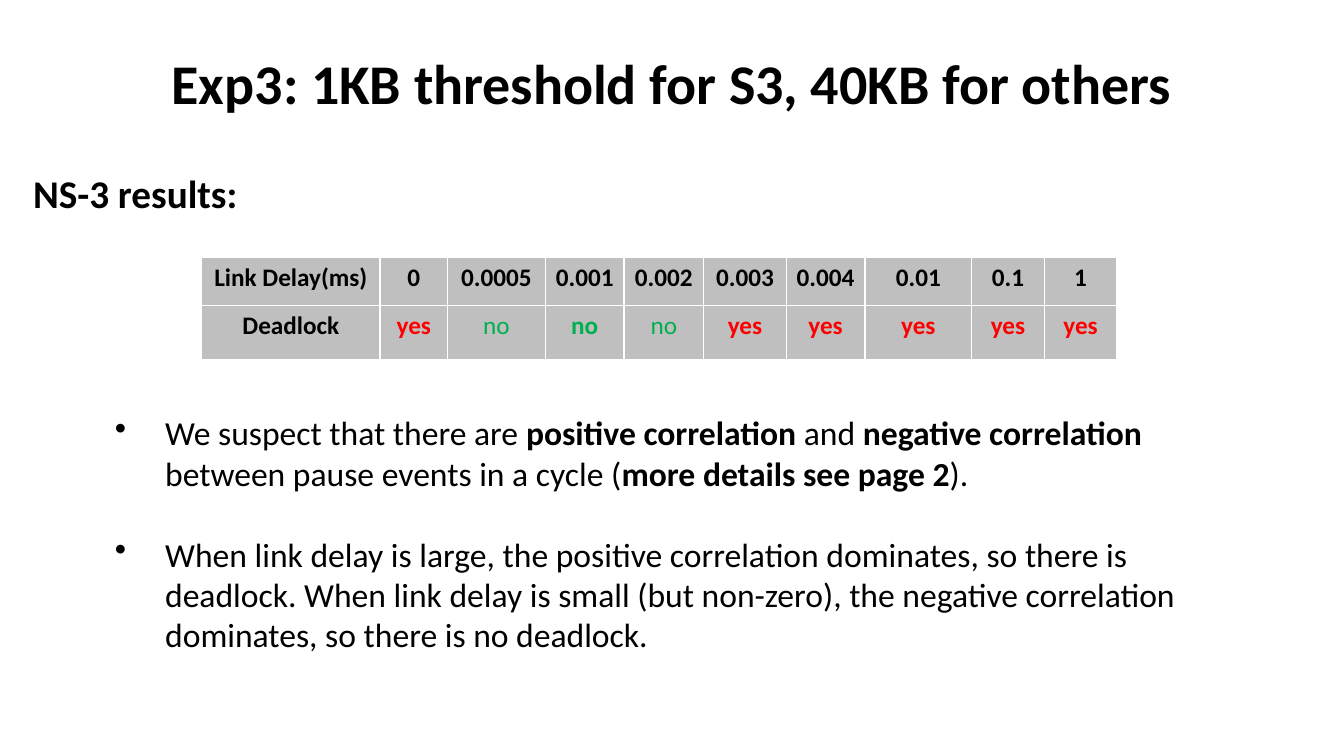
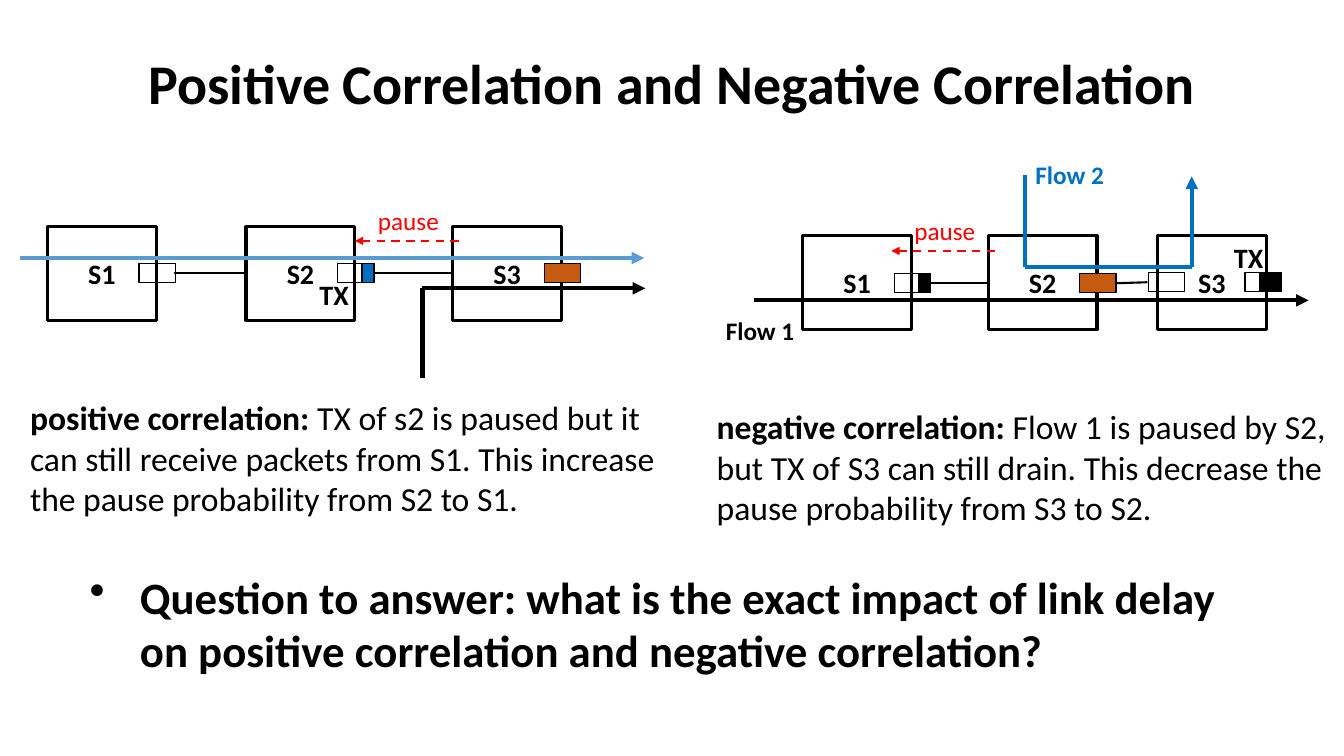
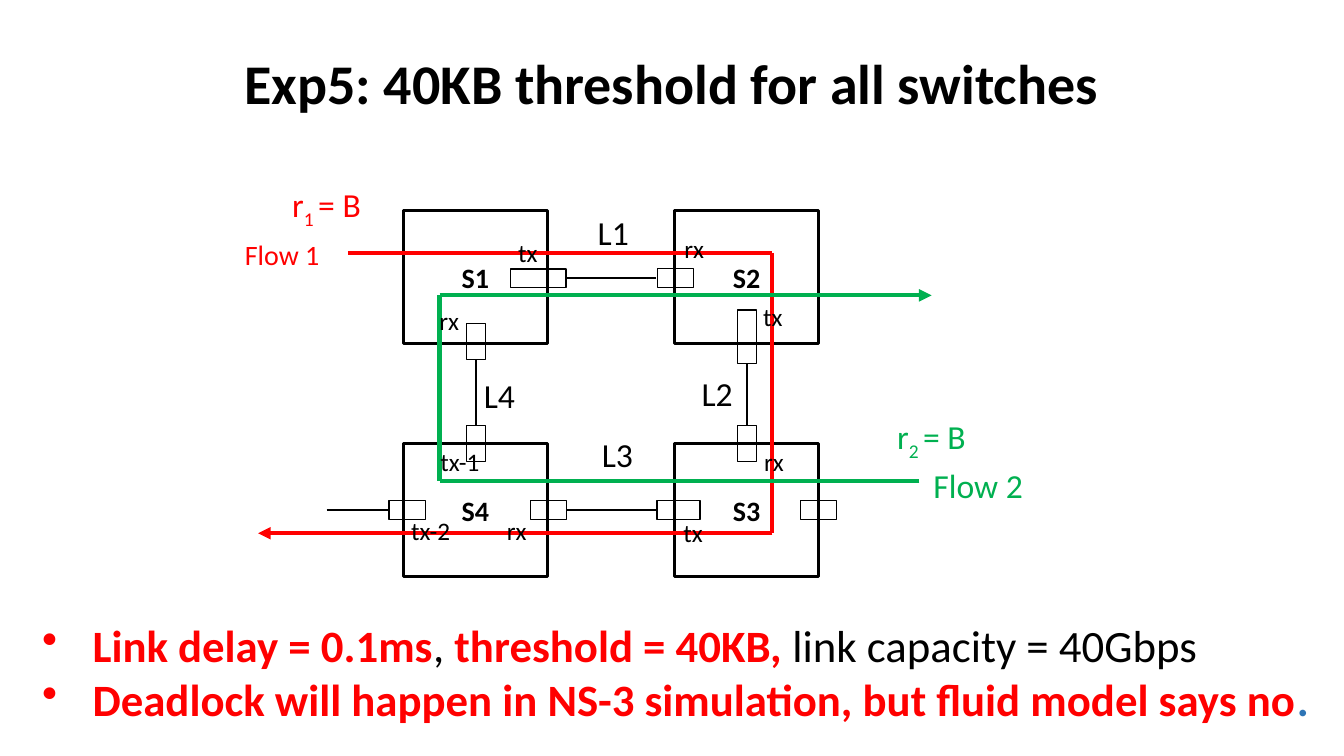
import pptx
import pptx.util
import pptx.dml.color
import pptx.enum.dml
import pptx.enum.shapes
import pptx.enum.text
import lxml.etree
import pptx.oxml.ns

Inches, Pt = pptx.util.Inches, pptx.util.Pt
rgb = pptx.dml.color.RGBColor.from_string
qn = pptx.oxml.ns.qn
CENTER = pptx.enum.text.PP_ALIGN.CENTER
RECT = pptx.enum.shapes.MSO_SHAPE.RECTANGLE
STRAIGHT = pptx.enum.shapes.MSO_CONNECTOR.STRAIGHT
DASH = pptx.enum.dml.MSO_LINE.DASH

FONT = "Calibri"
BLACK, RED, GREEN, BLUE = "000000", "FF0000", "00B050", "0070C0"
SKY, ORANGE, GREY, DOT = "5B9BD5", "C55A11", "BFBFBF", "2E75B6"


def write(frame, paras, size, colour=BLACK, bold=False, align=None, bullet=False, gap=0):
    """Fill a frame; a run is a string or (string, changes to the paragraph font)."""
    for i, runs in enumerate(paras):
        para = frame.paragraphs[0] if i == 0 else frame.add_paragraph()
        if bullet:
            props = para._p.get_or_add_pPr()
            props.set("marL", str(Inches(0.5)))
            props.set("indent", str(Inches(-0.5)))
            lxml.etree.SubElement(props, qn("a:buChar")).set("char", "•")
        if gap and i:
            para.space_before = Pt(gap)
        if align is not None:
            para.alignment = align
        font = para.font
        font.name, font.size, font.bold = FONT, Pt(size), bold
        font.color.rgb = rgb(colour)
        for part in [runs] if isinstance(runs, str) else runs:
            words, look = (part, {}) if isinstance(part, str) else part
            run = para.add_run()
            run.text = words
            if "bold" in look:
                run.font.bold = look["bold"]
            if "colour" in look:
                run.font.color.rgb = rgb(look["colour"])
            if "base" in look:
                run._r.get_or_add_rPr().set("baseline", str(look["base"] * 1000))


def label(slide, x, y, width, paras, size, rows=1, wrap=False, **look):
    """Add a text box whose height follows from its rows of text."""
    height = 0.1 + rows * size * 1.22 / 72
    box = slide.shapes.add_textbox(Inches(x), Inches(y), Inches(width), Inches(height))
    box.text_frame.word_wrap = wrap
    write(box.text_frame, paras, size, **look)


deck = pptx.Presentation()
deck.slide_width, deck.slide_height = Inches(13.33), Inches(7.5)

titles = [
    "Exp3: 1KB threshold for S3, 40KB for others",
    "Positive Correlation and Negative Correlation",
    "Exp5: 40KB threshold for all switches",
]
slides = []
for title in titles:
    slide = deck.slides.add_slide(deck.slide_layouts[6])
    label(slide, 0.35, 0.43, 12.62, [title], 40, wrap=True, bold=True, align=CENTER)
    slides.append(slide)
delay, pair, ring = slides
heavy, plain = {"bold": True}, {"bold": False}

# Link delay results
label(delay, 0.23, 1.63, 2.35, ["NS-3 results:"], 28, bold=True)
widths = [1.77, 0.67, 0.97, 0.78, 0.79, 0.82, 0.78, 1.06, 0.72, 0.72]
heights = [0.48, 0.54]
rows = [
    ["Link Delay(ms)", "0", "0.0005", "0.001", "0.002", "0.003", "0.004", "0.01", "0.1", "1"],
    ["Deadlock", "yes", "no", "no", "no", "yes", "yes", "yes", "yes", "yes"],
]
light = [(1, 2), (1, 4)]
table = delay.shapes.add_table(len(rows), len(widths), Inches(2), Inches(2.55),
                               Inches(sum(widths)), Inches(sum(heights))).table
table.horz_banding = False
for c, width in enumerate(widths):
    table.columns[c].width = Inches(width)
for r, row in enumerate(rows):
    table.rows[r].height = Inches(heights[r])
    for c, value in enumerate(row):
        cell = table.cell(r, c)
        cell.fill.solid()
        cell.fill.fore_color.rgb = rgb(GREY)
        colour = {"yes": RED, "no": GREEN}.get(value, BLACK)
        write(cell.text_frame, [value], 18, colour, (r, c) not in light, CENTER)
label(delay, 1.04, 4.04, 11, [
    ["We suspect that there are ", ("positive correlation", heavy), " and ",
     ("negative correlation ", heavy), "between pause events in a cycle (",
     ("more details see page 2", heavy), ")."],
    "When link delay is large, the positive correlation dominates, so there is deadlock. "
    "When link delay is small (but non-zero), the negative correlation dominates, "
    "so there is no deadlock.",
], 24, rows=6, wrap=True, bullet=True, gap=29)

# Switch diagrams: nodes by left and top, ports by centre and size
pair_nodes = [("S1", 0.47, 2.25), ("S2", 2.44, 2.25), ("S3", 4.49, 2.25),
              ("S1", 7.96, 2.34), ("S2", 9.8, 2.34), ("S3", 11.48, 2.34)]
pair_ports = [
    (1.56, 2.71, 0.36, 0.19, None),
    (3.53, 2.71, 0.36, 0.19, None),
    (3.65, 2.71, 0.12, 0.19, BLUE),
    (5.58, 2.71, 0.36, 0.19, ORANGE),
    (9.05, 2.81, 0.36, 0.19, None),
    (9.17, 2.81, 0.12, 0.19, BLACK),
    (10.89, 2.81, 0.36, 0.19, ORANGE),
    (11.57, 2.8, 0.36, 0.19, None),
    (12.53, 2.8, 0.36, 0.19, None),
    (12.6, 2.8, 0.21, 0.18, BLACK),
]
pair_wires = [
    ("flow", SKY, [(0.2, 2.56), (6.39, 2.56)]),
    ("flow", BLACK, [(4.19, 3.75), (4.19, 2.86), (6.4, 2.86)]),
    ("link", BLACK, [(1.73, 2.71), (2.44, 2.71)]),
    ("link", BLACK, [(3.71, 2.71), (4.49, 2.71)]),
    ("pause", RED, [(4.55, 2.39), (3.52, 2.39)]),
    ("flow", BLUE, [(10.17, 1.74), (10.17, 2.65), (11.82, 2.65), (11.82, 1.75)]),
    ("flow", BLACK, [(7.48, 2.98), (12.98, 2.98)]),
    ("link", BLACK, [(9.22, 2.81), (9.8, 2.81)]),
    ("link", BLACK, [(11.07, 2.81), (11.38, 2.8)]),
    ("pause", RED, [(9.87, 2.49), (8.84, 2.49)]),
]
pair_tags = [
    ("pause", 3.65, 1.99, 0.81, 18, RED, False),
    ("pause", 8.97, 2.09, 0.81, 18, RED, False),
    ("TX", 3.07, 2.7, 0.49, 20, BLACK, True),
    ("TX", 12.14, 2.34, 0.49, 20, BLACK, True),
    ("Flow 2", 10.17, 1.53, 0.89, 18, BLUE, True),
    ("Flow 1", 7.1, 3.08, 0.89, 18, BLACK, True),
]

ring_nodes = [("S1", 4, 2.09), ("S2", 6.69, 2.09), ("S3", 6.69, 4.4), ("S4", 4, 4.4)]
ring_ports = [
    (5.34, 2.76, 0.55, 0.18, None),
    (6.7, 2.76, 0.36, 0.19, None),
    (7.41, 3.34, 0.19, 0.53, None),
    (7.41, 4.4, 0.19, 0.36, None),
    (6.73, 5.06, 0.43, 0.19, None),
    (8.12, 5.06, 0.36, 0.19, None),
    (5.44, 5.06, 0.36, 0.19, None),
    (4.04, 5.06, 0.36, 0.19, None),
    (4.72, 4.4, 0.19, 0.36, None),
    (4.72, 3.39, 0.19, 0.36, None),
]
ring_wires = [
    ("flow", RED, [(3.45, 2.51), (7.66, 2.51), (7.66, 5.29), (2.56, 5.29)]),
    ("flow", GREEN, [(9.12, 4.77), (4.36, 4.77), (4.36, 2.93), (9.24, 2.93)]),
    ("link", BLACK, [(5.62, 2.76), (6.51, 2.76)]),
    ("link", BLACK, [(7.41, 4.22), (7.41, 3.6)]),
    ("link", BLACK, [(5.62, 5.06), (6.51, 5.06)]),
    ("link", BLACK, [(4.72, 4.22), (4.72, 3.57)]),
    ("link", BLACK, [(3.24, 5.06), (3.86, 5.06)]),
]
ring_tags = [
    ("rx", 4.26, 2.98, 0.4, 18, BLACK, False),
    ("tx", 5.04, 2.3, 0.39, 18, BLACK, False),
    ("rx", 6.69, 2.27, 0.4, 18, BLACK, False),
    ("tx", 7.47, 2.94, 0.39, 18, BLACK, False),
    ("rx", 7.48, 4.38, 0.4, 18, BLACK, False),
    ("tx", 6.68, 5.08, 0.39, 18, BLACK, False),
    ("rx", 4.93, 5.06, 0.4, 18, BLACK, False),
    ("tx-1", 4.27, 4.38, 0.6, 18, BLACK, False),
    ("tx-2", 3.98, 5.06, 0.6, 18, BLACK, False),
    ("L1", 5.83, 2.05, 0.51, 24, BLACK, False),
    ("L2", 6.86, 3.65, 0.51, 24, BLACK, False),
    ("L3", 5.87, 4.26, 0.51, 24, BLACK, False),
    ("L4", 4.7, 3.67, 0.51, 24, BLACK, False),
    ("Flow 1", 2.33, 2.31, 0.95, 20, RED, False),
    ("Flow 2", 9.16, 4.56, 1.09, 24, GREEN, False),
]

for slide, wide, high, nodes, ports, wires, tags in [
    (pair, 1.08, 0.93, pair_nodes, pair_ports, pair_wires, pair_tags),
    (ring, 1.43, 1.32, ring_nodes, ring_ports, ring_wires, ring_tags),
]:
    boxes = [(name, x, y, wide, high, None, 2.25) for name, x, y in nodes]
    boxes += [("", x - w / 2, y - h / 2, w, h, fill, 1) for x, y, w, h, fill in ports]
    for name, x, y, w, h, fill, weight in boxes:
        box = slide.shapes.add_shape(RECT, Inches(x), Inches(y), Inches(w), Inches(h))
        box.shadow.inherit = False
        box.line.color.rgb = rgb(BLACK)
        box.line.width = Pt(weight)
        if fill:
            box.fill.solid()
            box.fill.fore_color.rgb = rgb(fill)
        else:
            box.fill.background()
        if name:
            write(box.text_frame, [name], 20, bold=True, align=CENTER)

    for kind, colour, points in wires:
        for start, end in zip(points, points[1:]):
            wire = slide.shapes.add_connector(STRAIGHT, *map(Inches, start + end))
            wire.line.color.rgb = rgb(colour)
            wire.line.width = Pt(3 if kind == "flow" else 1.5)
            if kind == "pause":
                wire.line.dash_style = DASH
            if kind != "link" and end == points[-1]:
                tail = lxml.etree.SubElement(wire.line._get_or_add_ln(), qn("a:tailEnd"))
                tail.set("type", "triangle")
            lxml.etree.SubElement(wire._element.spPr, qn("a:effectLst"))

    for words, x, y, w, size, colour, bold in tags:
        label(slide, x, y, w, [words], size, colour=colour, bold=bold)

# Correlation notes
for x, y, width, term, note in [
    (0.2, 3.89, 6.5, "positive correlation: ",
     "TX of s2 is paused but it can still receive packets from S1. "
     "This increase the pause probability from S2 to S1."),
    (7.01, 3.98, 6.32, "negative correlation: ",
     "Flow 1 is paused by S2, but TX of S3 can still drain. "
     "This decrease the pause probability from S3 to S2."),
]:
    label(pair, x, y, width, [[(term, heavy), note]], 24, rows=3, wrap=True)
label(pair, 0.79, 5.6, 11.7, [
    "Question to answer: what is the exact impact of link delay on positive correlation "
    "and negative correlation?",
], 32, rows=2, wrap=True, bold=True, bullet=True)

# Rates and findings of the ring
for x, y, index, colour in [(2.8, 1.78, "1 ", RED), (8.8, 4.08, "2 ", GREEN)]:
    label(ring, x, y, 0.91, [["r", (index, {"base": -25}), "= B"]], 24, colour=colour)
label(ring, 0.32, 6.08, 12.88, [
    ["Link delay = 0.1ms", (", ", {"colour": BLACK, **plain}), "threshold = 40KB, ",
     ("link capacity = 40Gbps", {"colour": BLACK, **plain})],
    ["Deadlock will happen in NS-3 simulation, but fluid model says no",
     (".", {"colour": DOT})],
], 32, rows=2, colour=RED, bold=True, bullet=True)

deck.save("out.pptx")
